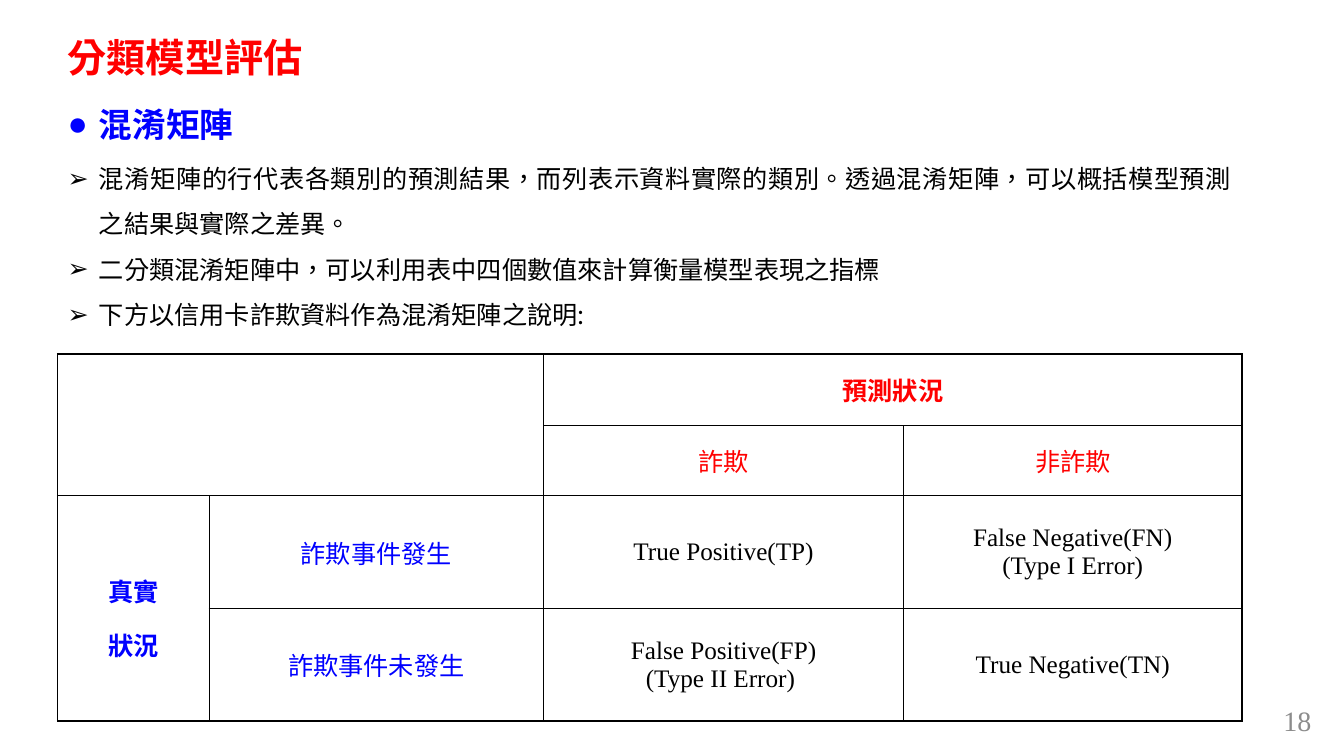
from lxml import etree
from pptx import Presentation
from pptx.dml.color import RGBColor
from pptx.enum.text import MSO_ANCHOR, MSO_AUTO_SIZE, PP_ALIGN
from pptx.oxml.ns import qn
from pptx.util import Cm, Pt

CENTER, JUSTIFY, LEFT, RIGHT = PP_ALIGN.CENTER, PP_ALIGN.JUSTIFY, PP_ALIGN.LEFT, PP_ALIGN.RIGHT
TOP, MIDDLE = MSO_ANCHOR.TOP, MSO_ANCHOR.MIDDLE
NO_AUTOFIT = MSO_AUTO_SIZE.NONE

RED = RGBColor(0xFF, 0x00, 0x00)
BLUE = RGBColor(0x00, 0x00, 0xFF)
BLACK = RGBColor(0x00, 0x00, 0x00)
GRAY = RGBColor(0x8C, 0x8C, 0x8C)
SERIF = "Times New Roman"
CJK = "Noto Sans CJK SC"


def style_text(frame, size, color, bold=False, font=SERIF, align=CENTER, spacing=1.0, bullet=None):
    """Format every paragraph and run, with an optional hanging bullet."""
    for paragraph in frame.paragraphs:
        if bullet:
            properties = paragraph._p.get_or_add_pPr()
            properties.set("marL", str(Cm(0.79)))
            properties.set("indent", str(-Cm(0.79)))
            etree.SubElement(properties, qn("a:buChar"), char=bullet)
        paragraph.alignment = align
        paragraph.line_spacing = spacing
        paragraph.space_before = Pt(0)
        for run in paragraph.runs:
            run.font.size = Pt(size)
            run.font.bold = bold
            run.font.color.rgb = color
            run.font.name = font
            run_properties = run._r.get_or_add_rPr()
            run_properties.set("lang", "zh-TW")
            east_asian = etree.Element(qn("a:ea"), typeface=CJK)
            run_properties.find(qn("a:latin")).addnext(east_asian)


def place(shape, left, top, width, height, anchor=TOP):
    shape.left, shape.top, shape.width, shape.height = Cm(left), Cm(top), Cm(width), Cm(height)
    shape.text_frame.word_wrap = True
    shape.text_frame.auto_size = NO_AUTOFIT
    shape.text_frame.vertical_anchor = anchor


prs = Presentation()
prs.slide_width, prs.slide_height = Cm(33.87), Cm(19.05)
slide = prs.slides.add_slide(prs.slide_layouts.get_by_name("Two Content"))
title, heading, points = list(slide.placeholders)[:3]

# Title, heading and explanation
place(title, 1.45, 0.71, 30.89, 1.45)
title.text_frame.text = "分類模型評估"
style_text(title.text_frame, 28, RED, bold=True, align=LEFT)

place(heading, 1.45, 1.98, 29.16, 1.63)
heading.text_frame.text = "混淆矩陣"
style_text(heading.text_frame, 24, BLUE, bold=True, align=JUSTIFY, spacing=1.5, bullet="●")

place(points, 1.45, 3.61, 29.85, 5.2)
points.text_frame.text = "\n".join([
    "混淆矩陣的行代表各類別的預測結果，而列表示資料實際的類別。透過混淆矩陣，可以概括模型預測之結果與實際之差異。",
    "二分類混淆矩陣中，可以利用表中四個數值來計算衡量模型表現之指標",
    "下方以信用卡詐欺資料作為混淆矩陣之說明:",
])
style_text(points.text_frame, 18, BLACK, font=CJK, align=JUSTIFY, spacing=1.5, bullet="➢")

# Confusion matrix
column_widths = [3.82, 8.43, 9.07, 8.53]
row_heights = [1.81, 1.76, 2.84, 2.84]
matrix = slide.shapes.add_table(
    4, 4, Cm(1.45), Cm(8.92), Cm(sum(column_widths)), Cm(sum(row_heights))).table
matrix.first_row = matrix.horz_banding = False
for column, width in zip(matrix.columns, column_widths):
    column.width = Cm(width)
for row, height in zip(matrix.rows, row_heights):
    row.height = Cm(height)

for cell in matrix.iter_cells():
    cell.fill.background()
    cell.vertical_anchor = MIDDLE
    cell.margin_left = cell.margin_right = Cm(0.19)
    cell.margin_top = cell.margin_bottom = Cm(0.13)
    cell_properties = cell._tc.get_or_add_tcPr()
    for position, side in enumerate(["a:lnL", "a:lnR", "a:lnT", "a:lnB"]):
        border = etree.Element(qn(side), w=str(Pt(1)))
        border_fill = etree.SubElement(border, qn("a:solidFill"))
        etree.SubElement(border_fill, qn("a:srgbClr"), val=str(BLACK))
        cell_properties.insert(position, border)

for first, last in [((0, 0), (1, 1)), ((0, 2), (0, 3)), ((2, 0), (3, 0))]:
    matrix.cell(*first).merge(matrix.cell(*last))

entries = [
    (0, 2, "預測狀況", RED, True, 1.0),
    (1, 2, "詐欺", RED, False, 1.0),
    (1, 3, "非詐欺", RED, False, 1.0),
    (2, 0, "真實\n狀況", BLUE, True, 1.5),
    (2, 1, "詐欺事件發生", BLUE, False, 1.0),
    (2, 2, "True Positive(TP)", BLACK, False, 1.0),
    (2, 3, "False Negative(FN)\n(Type I Error)", BLACK, False, 1.0),
    (3, 1, "詐欺事件未發生", BLUE, False, 1.0),
    (3, 2, "False Positive(FP)\n(Type II Error) ", BLACK, False, 1.0),
    (3, 3, "True Negative(TN)", BLACK, False, 1.0),
]
for row, column, text, color, bold, spacing in entries:
    frame = matrix.cell(row, column).text_frame
    frame.text = text
    style_text(frame, 18, color, bold=bold, spacing=spacing)

# Slide number
page_number = slide.shapes.add_textbox(0, 0, 0, 0)
place(page_number, 25.68, 17.65, 7.62, 1.02, anchor=MIDDLE)
page_number.text_frame.text = "18"
style_text(page_number.text_frame, 20, GRAY, align=RIGHT)

prs.save("out.pptx")
